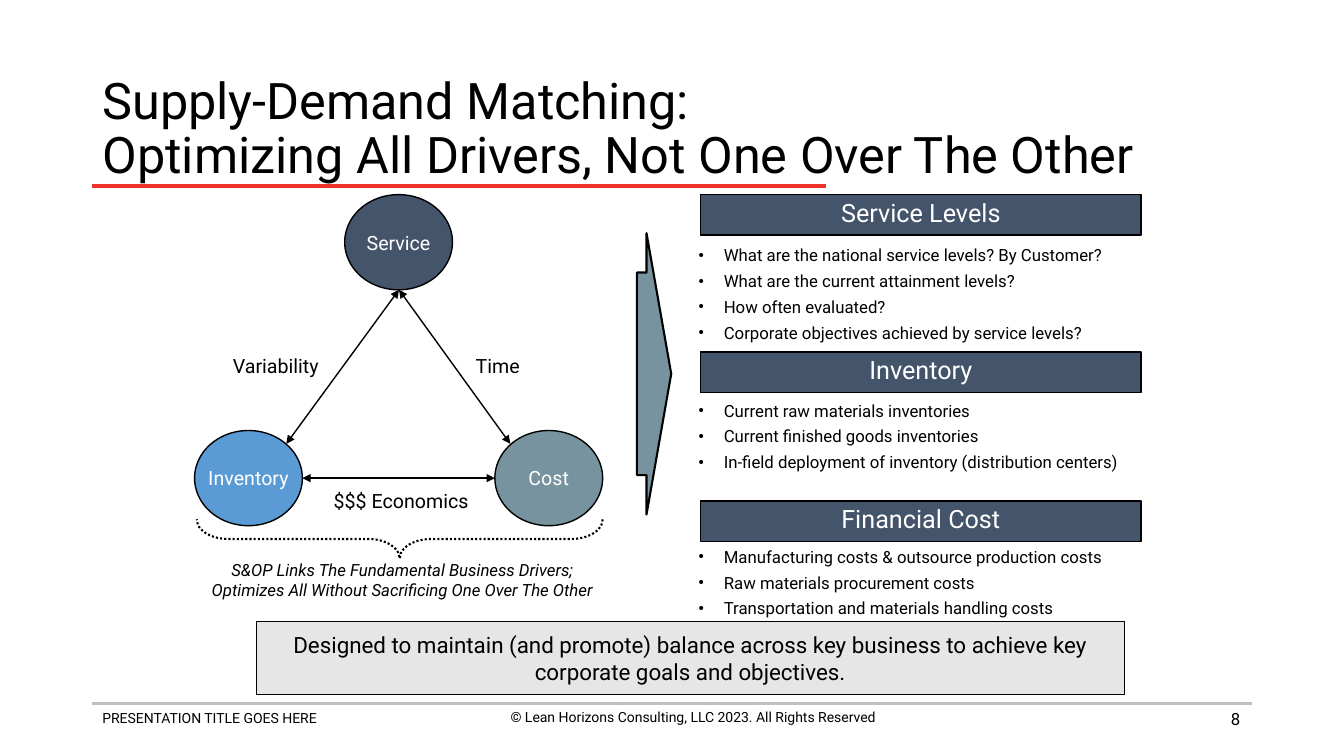
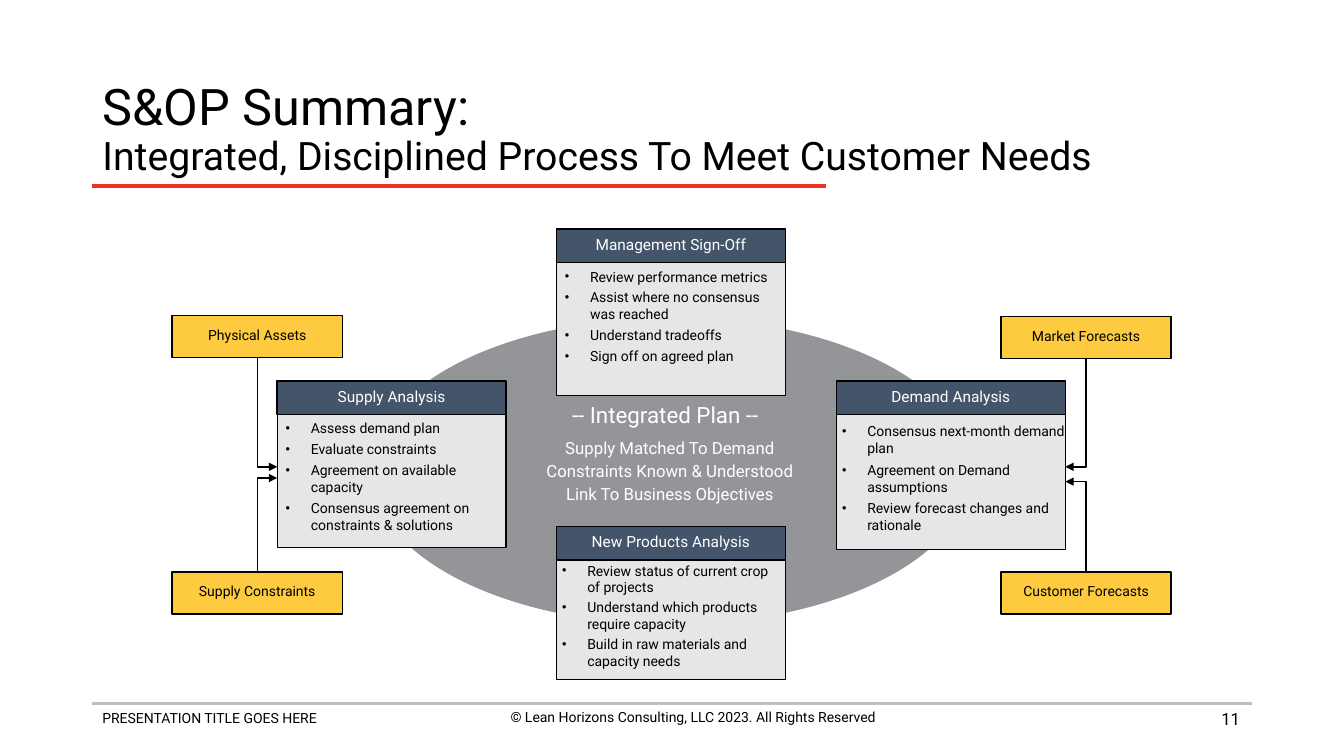
from pptx import Presentation
from pptx.dml.color import RGBColor
from pptx.enum.dml import MSO_LINE_DASH_STYLE as Dash
from pptx.enum.shapes import MSO_CONNECTOR as Connector, MSO_SHAPE as Preset
from pptx.enum.text import MSO_ANCHOR as Anchor, MSO_AUTO_SIZE as AutoSize, PP_ALIGN as Align
from pptx.oxml.ns import qn
from pptx.util import Pt
from lxml.etree import SubElement

FONT = "Roboto"
BLACK = RGBColor(0x00, 0x00, 0x00)
WHITE = RGBColor(0xFF, 0xFF, 0xFF)
NAVY = RGBColor(0x44, 0x54, 0x6A)
BLUE = RGBColor(0x5B, 0x9B, 0xD5)
TEAL = RGBColor(0x76, 0x93, 0x9F)
RED = RGBColor(0xEE, 0x32, 0x28)
YELLOW = RGBColor(0xFD, 0xCA, 0x40)
PALE = RGBColor(0xE7, 0xE6, 0xE6)
GRAY = RGBColor(0x93, 0x95, 0x98)
RULE_GRAY = RGBColor(0xBF, 0xBF, 0xBF)

MARGIN, CONTENT_WIDTH = 66, 828
PANEL_WIDTH, PANEL_HEAD = 163.5, 24
INPUT_WIDTH, INPUT_HEIGHT = 121.5, 30
BUBBLE_WIDTH, BUBBLE_HEIGHT = 77, 68


def add_span(para, text, size, color=BLACK, italic=False):
    span = para.add_run()
    span.text = text
    span.font.name = FONT
    span.font.size = Pt(size)
    span.font.color.rgb = color
    span.font.bold = False
    span.font.italic = italic


def add_bullet(para):
    props = para._p.get_or_add_pPr()
    props.set("marL", str(Pt(18)))
    props.set("indent", str(-Pt(18)))
    SubElement(props, qn("a:buSzPct"), val="90000")
    SubElement(props, qn("a:buFont"), typeface="Arial")
    SubElement(props, qn("a:buChar"), char="•")


def write_text(shape, *lines, size, color=BLACK, italic=False, align=Align.CENTER,
               anchor=Anchor.MIDDLE, spacing=1.0, gap=0, bullets=False, wrap=True,
               insets=(7.2, 3.6, 7.2, 3.6)):
    """Fill a shape with one paragraph a line; insets run left, top, right, bottom."""
    frame = shape.text_frame
    frame.auto_size = AutoSize.NONE
    frame.word_wrap = wrap
    frame.vertical_anchor = anchor
    (frame.margin_left, frame.margin_top,
     frame.margin_right, frame.margin_bottom) = map(Pt, insets)
    for index, line in enumerate(lines):
        para = frame.add_paragraph() if index else frame.paragraphs[0]
        para.alignment = align
        para.line_spacing = spacing
        para.space_before = Pt(gap if index else 0)
        if bullets:
            add_bullet(para)
        add_span(para, line, size, color, italic)


def place(shape, left, top, width, height):
    shape.left, shape.top, shape.width, shape.height = map(Pt, (left, top, width, height))


def paint(shape, fill=None, line=BLACK, weight=1):
    shape.shadow.inherit = False
    if fill is None:
        shape.fill.background()
    else:
        shape.fill.solid()
        shape.fill.fore_color.rgb = fill
    if line is None:
        shape.line.fill.background()
    else:
        shape.line.color.rgb = line
        shape.line.width = Pt(weight)


def add_figure(slide, preset, left, top, width, height, fill=None, line=BLACK, weight=1):
    figure = slide.shapes.add_shape(preset, *map(Pt, (left, top, width, height)))
    paint(figure, fill, line, weight)
    return figure


def add_label(slide, left, top, width, height, *lines, **text_format):
    box = slide.shapes.add_textbox(*map(Pt, (left, top, width, height)))
    write_text(box, *lines, **text_format)


def add_line(slide, start, end, color=BLACK, weight=1, heads=(), kind=Connector.STRAIGHT):
    """Draw a connector; heads names the ends that carry a triangle."""
    line = slide.shapes.add_connector(kind, *map(Pt, (*start, *end)))
    line.line.color.rgb = color
    line.line.width = Pt(weight)
    for head in heads:
        SubElement(line.line._get_or_add_ln(), qn(f"a:{head}"), type="triangle")
    SubElement(line.element.spPr, qn("a:effectLst"))
    return line


def add_heading(slide, text, left, top, width, height, size, fill=NAVY, color=WHITE):
    bar = add_figure(slide, Preset.RECTANGLE, left, top, width, height, fill)
    write_text(bar, text, size=size, color=color, spacing=0.8, wrap=False)


def start_slide(deck, number, first_line, second_line, second_size):
    """Add a slide with the shared title, rules and footer; return it and its bodies."""
    slide = deck.slides.add_slide(deck.slide_layouts.get_by_name("Comparison"))
    title = slide.shapes.title
    place(title, MARGIN, 53.5, CONTENT_WIDTH, 79)
    write_text(title, first_line, size=36, align=Align.LEFT, spacing=0.9)
    para = title.text_frame.paragraphs[0]
    para.add_line_break()
    add_span(para, second_line, second_size)

    add_line(slide, (MARGIN, 502.5), (MARGIN + CONTENT_WIDTH, 502.5), RULE_GRAY, 2)
    add_line(slide, (MARGIN, 133), (590, 133), RED, 3)
    add_label(slide, MARGIN, 503, 328, 32, "PRESENTATION TITLE GOES HERE",
              size=10, align=Align.LEFT, anchor=Anchor.TOP)
    add_label(slide, 331, 502.5, 328, 32,
              "© Lean Horizons Consulting, LLC 2023. All Rights Reserved",
              size=10, anchor=Anchor.TOP)
    add_label(slide, 677, 499, 216, 29, str(number), size=12, align=Align.RIGHT)
    bodies = [holder for holder in slide.placeholders if holder.placeholder_format.idx]
    return slide, bodies


def fill_list(body, *items, size, gap, insets):
    write_text(body, *items, size=size, gap=gap, insets=insets, bullets=True,
               align=Align.LEFT, anchor=Anchor.TOP)


def add_bubble(slide, text, left, top, fill):
    bubble = add_figure(slide, Preset.OVAL, left, top, BUBBLE_WIDTH, BUBBLE_HEIGHT, fill)
    write_text(bubble, text, size=14, color=WHITE, wrap=False)


def add_panel(slide, body, heading, items, left, top, height, gap, insets):
    place(body, left, top + PANEL_HEAD, PANEL_WIDTH, height)
    paint(body, PALE)
    fill_list(body, *items, size=10, gap=gap, insets=insets)
    add_heading(slide, heading, left, top, PANEL_WIDTH, PANEL_HEAD, 11)


def add_input(slide, text, left, top, panel_edge, arrow_y):
    """Add a yellow box and the elbow arrow from it to the edge of a panel."""
    add_heading(slide, text, left, top, INPUT_WIDTH, INPUT_HEIGHT, 10, YELLOW, BLACK)
    box_edge = top + INPUT_HEIGHT if top < arrow_y else top
    elbow = add_line(slide, (panel_edge, arrow_y), (left + INPUT_WIDTH / 2, box_edge),
                     heads=["headEnd"], kind=Connector.ELBOW)
    elbow.element.spPr.find(qn("a:prstGeom")).set("prst", "bentConnector2")


def build_drivers(deck):
    slide, bodies = start_slide(deck, 8, "Supply-Demand Matching:",
                                "Optimizing All Drivers, Not One Over The Other", 36)
    sections = [
        ("Service Levels", 139, 172, [
            "What are the national service levels? By Customer?",
            "What are the current attainment levels?",
            "How often evaluated?",
            "Corporate objectives achieved by service levels?"]),
        ("Inventory", 251.5, 283, [
            "Current raw materials inventories",
            "Current finished goods inventories",
            "In-field deployment of inventory (distribution centers)"]),
        ("Financial Cost", 358, 387.5, [
            "Manufacturing costs & outsource production costs",
            "Raw materials procurement costs",
            "Transportation and materials handling costs"]),
    ]
    for body, (heading, top, list_top, items) in zip(bodies, sections):
        add_heading(slide, heading, 500.5, top, 314.5, 29, 18)
        place(body, 493, list_top, 326, 19 * len(items))
        fill_list(body, *items, size=12, gap=4, insets=(6, 3, 6, 3))
    for spare in bodies[len(sections):]:
        spare.element.getparent().remove(spare.element)

    for text, left, top, fill in [("Inventory", 139, 307.5, BLUE),
                                  ("Service", 246.25, 139, NAVY),
                                  ("Cost", 353.5, 307.5, TEAL)]:
        add_bubble(slide, text, left, top, fill)
    for text, left, top, width in [("$$$ Economics", 230.5, 345.5, 112),
                                   ("Variability", 158.5, 249, 77),
                                   ("Time", 332.5, 249, 46)]:
        add_label(slide, left, top, width, 24.5, text, size=14, wrap=False)
    for start, end in [((285, 207), (204.5, 317)),
                       ((285, 207), (364.5, 317)),
                       ((216, 341.5), (353.5, 341.5))]:
        add_line(slide, start, end, heads=["headEnd", "tailEnd"])

    brace = add_figure(slide, Preset.RIGHT_BRACE, 271.5, 240, 28, 290, weight=1.5)
    brace.rotation = 90
    brace.adjustments[0] = 0.8
    brace.line.dash_style = Dash.ROUND_DOT
    add_label(slide, 140.5, 399, 294, 34, "S&OP Links The Fundamental Business Drivers;",
              "Optimizes All Without Sacrificing One Over The Other", size=12, italic=True,
              anchor=Anchor.TOP, spacing=0.8, gap=2.8, wrap=False)
    arrow = add_figure(slide, Preset.RIGHT_ARROW, 455, 166.5, 24.5, 201, TEAL, weight=1.5)
    arrow.adjustments[0] = 0.72
    arrow.adjustments[1] = 0.72

    banner = add_figure(slide, Preset.RECTANGLE, 183, 444, 620, 52, PALE, weight=0.75)
    write_text(banner, "Designed to maintain (and promote) balance across key business "
               "to achieve key corporate goals and objectives.", size=16)


def build_summary(deck):
    slide, bodies = start_slide(deck, 11, "S&OP Summary:",
                                "Integrated, Disciplined Process To Meet Customer Needs", 28)
    plan = add_figure(slide, Preset.OVAL, 265, 227, 428.5, 219, GRAY, line=None)
    slide.shapes.title.element.addprevious(plan.element)

    panels = [
        ("Supply Analysis", [
            "Assess demand plan",
            "Evaluate constraints",
            "Agreement on available capacity",
            "Consensus agreement on constraints & solutions",
        ], 198, 272, 95, 2.9, (6, 4, 6, 3)),
        ("Demand Analysis", [
            "Consensus next-month demand plan",
            "Agreement on Demand assumptions",
            "Review forecast changes and rationale",
        ], 597.5, 272, 96.5, 3.5, (4, 6, 0, 3)),
        ("Management Sign-Off", [
            "Review performance metrics",
            "Assist where no consensus was reached",
            "Understand tradeoffs",
            "Sign off on agreed plan",
        ], 397.5, 163.5, 95, 2.9, (6, 4, 2, 3)),
        ("New Products Analysis", [
            "Review status of current crop of projects",
            "Understand which products require capacity",
            "Build in raw materials and capacity needs",
        ], 397.5, 376, 85.5, 2.3, (4, 1.5, 5, 1.5)),
    ]
    for body, panel in zip(bodies, panels):
        add_panel(slide, body, *panel)

    add_label(slide, 396, 286.5, 158.5, 24.5, "-- Integrated Plan --", size=16, color=WHITE,
              anchor=Anchor.TOP, spacing=0.8, wrap=False)
    add_label(slide, 376.5, 310.5, 204, 57, "Supply Matched To Demand",
              "Constraints Known & Understood", "Link To Business Objectives",
              size=12, color=WHITE, anchor=Anchor.TOP, spacing=0.9, gap=3.5, wrap=False)

    for text, left, top, panel_edge, arrow_y in [
            ("Physical Assets", 123, 225.5, 198, 333.5),
            ("Supply Constraints", 123, 408.5, 198, 341.5),
            ("Market Forecasts", 715, 226, 761, 333.5),
            ("Customer Forecasts", 715, 408.5, 761, 344)]:
        add_input(slide, text, left, top, panel_edge, arrow_y)


def main():
    deck = Presentation()
    deck.slide_width, deck.slide_height = Pt(960), Pt(540)
    build_drivers(deck)
    build_summary(deck)
    deck.save("out.pptx")


if __name__ == "__main__":
    main()
